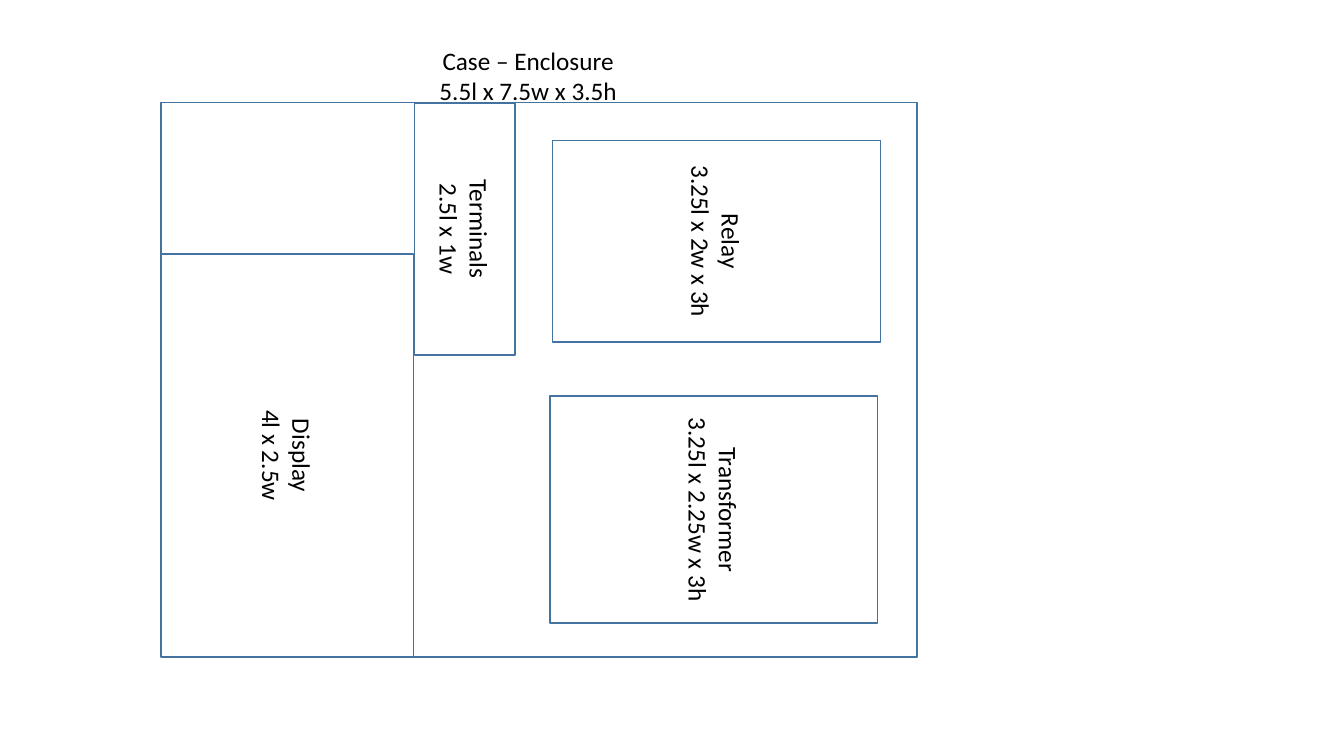
from dataclasses import dataclass

from pptx import Presentation
from pptx.dml.color import RGBColor
from pptx.enum.shapes import MSO_SHAPE as SHAPE
from pptx.enum.text import MSO_ANCHOR as ANCHOR, MSO_AUTO_SIZE as AUTO, PP_ALIGN as ALIGN
from pptx.util import Cm, Pt


@dataclass(frozen=True)
class Theme:
    """Colours and type of the slide."""
    line: RGBColor = RGBColor(0x43, 0x73, 0x9E)
    text: RGBColor = RGBColor(0, 0, 0)
    font: str = "Calibri"
    size: Pt = Pt(18)
    line_width: Pt = Pt(1)


@dataclass(frozen=True)
class Box:
    """A rectangle in centimetres."""
    left: float
    top: float
    width: float
    height: float

    def centred(self, x, y, width, height):
        """Return a box whose centre lies x, y from this box's corner."""
        return Box(self.left + x - width / 2, self.top + y - height / 2, width, height)

    def lengths(self):
        """Return the four lengths for a shape."""
        return Cm(self.left), Cm(self.top), Cm(self.width), Cm(self.height)


THEME = Theme()
CASE = Box(4.06, 2.59, 19.05, 13.97)
LOWER_PARTS = [
    (("Relay", "3.25l x 2w x 3h"), (14, 3.49, 5.08, 8.26)),
    (("Transformer", "3.25l x 2.25w x 3h"), (13.93, 10.25, 5.72, 8.26)),
]
DISPLAY = (("Display", "4l x 2.5w"), (3.18, 8.89, 10.16, 6.35))
TERMINALS = (("Terminals", "2.5l x 1w"), (7.65, 3.18, 6.35, 2.54))
CASE_LABEL = (("Case – Enclosure", "5.5l x 7.5w x 3.5h"), (9.25, -0.67, 5.23, 1.8))


def write_lines(tf, lines):
    """Write centred lines, one paragraph each."""
    for i, line in enumerate(lines):
        p = tf.paragraphs[0] if i == 0 else tf.add_paragraph()
        p.alignment = ALIGN.CENTER
        r = p.add_run()
        r.text = line
        r.font.name = THEME.font
        r.font.size = THEME.size
        r.font.color.rgb = THEME.text


def add_outline(s, box):
    """Draw an unfilled rectangle."""
    sp = s.shapes.add_shape(SHAPE.RECTANGLE, *box.lengths())
    sp.shadow.inherit = False
    sp.fill.background()
    sp.line.color.rgb = THEME.line
    sp.line.width = THEME.line_width
    return sp


def add_part(s, case, lines, place):
    """Draw a component turned a quarter clockwise inside the case."""
    sp = add_outline(s, case.centred(*place))
    sp.rotation = 90
    sp.text_frame.vertical_anchor = ANCHOR.MIDDLE
    write_lines(sp.text_frame, lines)


def add_label(s, case, lines, place):
    """Write the case label above its top edge."""
    tf = s.shapes.add_textbox(*case.centred(*place).lengths()).text_frame
    tf.word_wrap = False
    tf.auto_size = AUTO.SHAPE_TO_FIT_TEXT
    write_lines(tf, lines)


def add_layout_plan(s, case):
    """Draw the case with its components and label."""
    for lines, place in LOWER_PARTS:
        add_part(s, case, lines, place)
    add_outline(s, case)
    add_part(s, case, *DISPLAY)
    add_label(s, case, *CASE_LABEL)
    add_part(s, case, *TERMINALS)


def main():
    """Build and save the presentation."""
    prs = Presentation()
    prs.slide_width, prs.slide_height = Cm(33.87), Cm(19.05)
    s = prs.slides.add_slide(prs.slide_layouts[6])
    add_layout_plan(s, CASE)
    prs.save("out.pptx")


if __name__ == "__main__":
    main()
